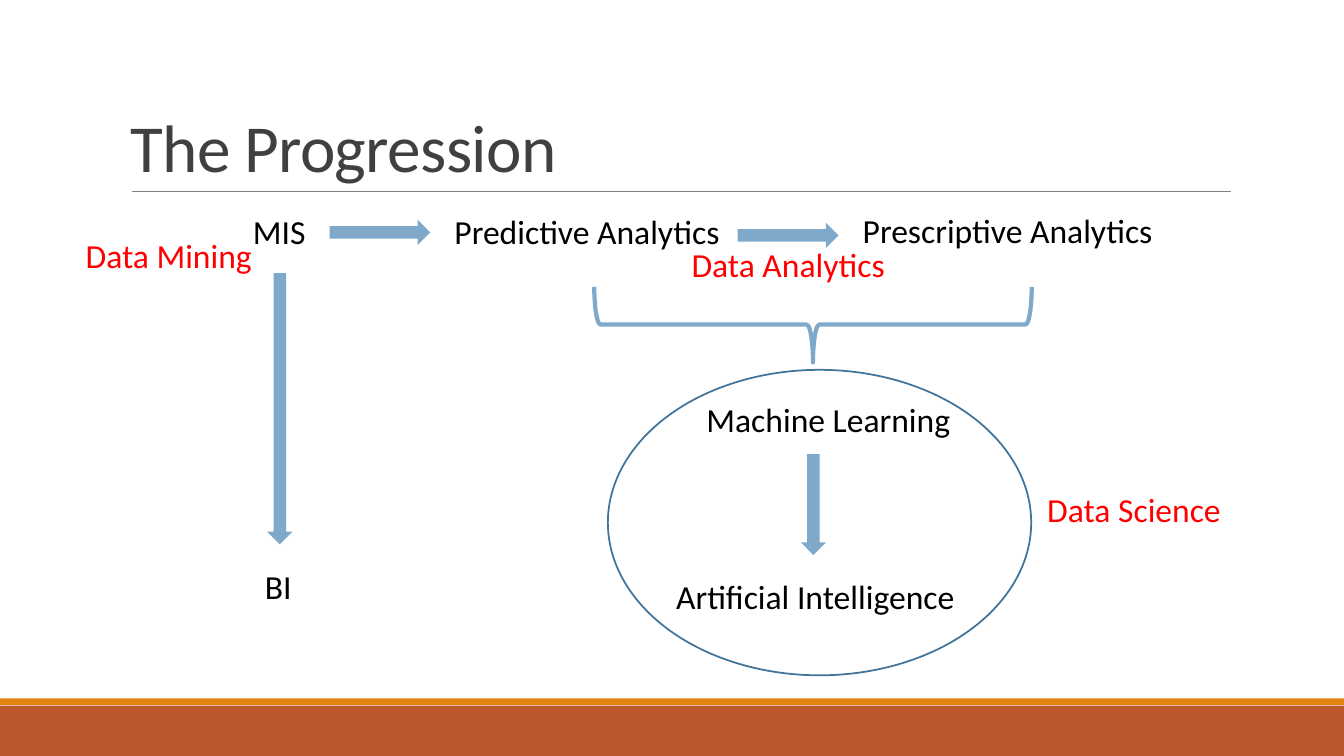
from lxml import etree
from pptx import Presentation
from pptx.dml.color import RGBColor
from pptx.enum import shapes, text
from pptx.oxml import ns
from pptx.util import Pt

RUST = RGBColor(0xBD, 0x58, 0x2C)
ORANGE = RGBColor(0xE4, 0x83, 0x12)
GREY = RGBColor(0x80, 0x80, 0x80)
CHARCOAL = RGBColor(0x40, 0x40, 0x40)
BLACK = RGBColor(0, 0, 0)
RED = RGBColor(0xFF, 0, 0)
LIGHT_BLUE = RGBColor(0x7E, 0xA9, 0xCA)
DARK_BLUE = RGBColor(0x40, 0x74, 0x9B)

PRESET = shapes.MSO_SHAPE

STAGES = [
    ("MIS", 173.5, 146.9, 54),
    ("Predictive Analytics", 317.5, 146.9, 209.5),
    ("Prescriptive Analytics", 609.1, 146.2, 239),
    ("Machine Learning", 497.5, 281.5, 239),
    ("Artificial Intelligence", 475.9, 408.2, 228.2),
    ("BI", 182.2, 401, 36),
]
FIELDS = [
    ("Data Mining", 53.3, 164.2, 134.6),
    ("Data Analytics", 486, 170.6, 154.1),
    ("Data Science", 740.2, 345.6, 139.7),
]
ARROWS = [
    (235.4, 157, 72, 0),
    (103, 283, 193.7, 90),
    (527, 159.1, 72, 0),
    (545, 351.4, 72, 90),
]


def add_preset(slide, preset, left, top, width, height, fill=None,
               outline=None, weight=1, rotation=0):
    shape = slide.shapes.add_shape(preset, Pt(left), Pt(top), Pt(width), Pt(height))
    shape.shadow.inherit = False
    shape.rotation = rotation
    if fill is None:
        shape.fill.background()
    else:
        shape.fill.solid()
        shape.fill.fore_color.rgb = fill
    if outline is None:
        shape.line.fill.background()
    else:
        shape.line.color.rgb = outline
        shape.line.width = Pt(weight)


def add_rule(slide, left, right, y):
    rule = slide.shapes.add_connector(
        shapes.MSO_CONNECTOR.STRAIGHT, Pt(left), Pt(y), Pt(right), Pt(y))
    rule.line.color.rgb = GREY
    rule.line.width = Pt(0.5)
    etree.SubElement(rule._element.spPr, ns.qn("a:effectLst"))


def add_text(slide, wording, left, top, width, height=36, size=24, color=BLACK,
             wrap=True, align=text.PP_ALIGN.LEFT):
    box = slide.shapes.add_textbox(Pt(left), Pt(top), Pt(width), Pt(height))
    frame = box.text_frame
    frame.word_wrap = wrap
    paragraph = frame.paragraphs[0]
    paragraph.alignment = align
    run = paragraph.add_run()
    run.text = wording
    run.font.name = "Calibri"
    run.font.size = Pt(size)
    run.font.color.rgb = color
    return frame


def add_title(slide, wording):
    frame = add_text(slide, wording, 86.4, 22.3, 792, 114.5, 48, CHARCOAL)
    frame.vertical_anchor = text.MSO_ANCHOR.BOTTOM
    paragraph = frame.paragraphs[0]
    paragraph.line_spacing = 0.85
    paragraph.runs[0].font._element.set("spc", "-50")


def main():
    deck = Presentation()
    deck.slide_width, deck.slide_height = Pt(960), Pt(540)
    slide = deck.slides.add_slide(deck.slide_layouts[6])

    add_preset(slide, PRESET.RECTANGLE, 0, 504, 960, 36, fill=RUST)
    add_preset(slide, PRESET.RECTANGLE, 0, 498.8, 960, 5, fill=ORANGE)
    add_rule(slide, 94.3, 879.1, 136.8)
    add_title(slide, "The Progression")

    for stage, left, top, width in STAGES:
        add_text(slide, stage, left, top, width)
    add_preset(slide, PRESET.RIGHT_BRACE, 553.7, 75.6, 54, 312.5,
               outline=LIGHT_BLUE, weight=3, rotation=90)
    for left, top, length, rotation in ARROWS:
        add_preset(slide, PRESET.RIGHT_ARROW, left, top, length, 18,
                   fill=LIGHT_BLUE, rotation=rotation)
    for field, left, top, width in FIELDS:
        add_text(slide, field, left, top, width, color=RED, wrap=False,
                 align=text.PP_ALIGN.CENTER)
    add_preset(slide, PRESET.OVAL, 434.2, 264.2, 302.4, 218.2,
               outline=DARK_BLUE, weight=1.25)

    deck.save("out.pptx")


if __name__ == "__main__":
    main()
